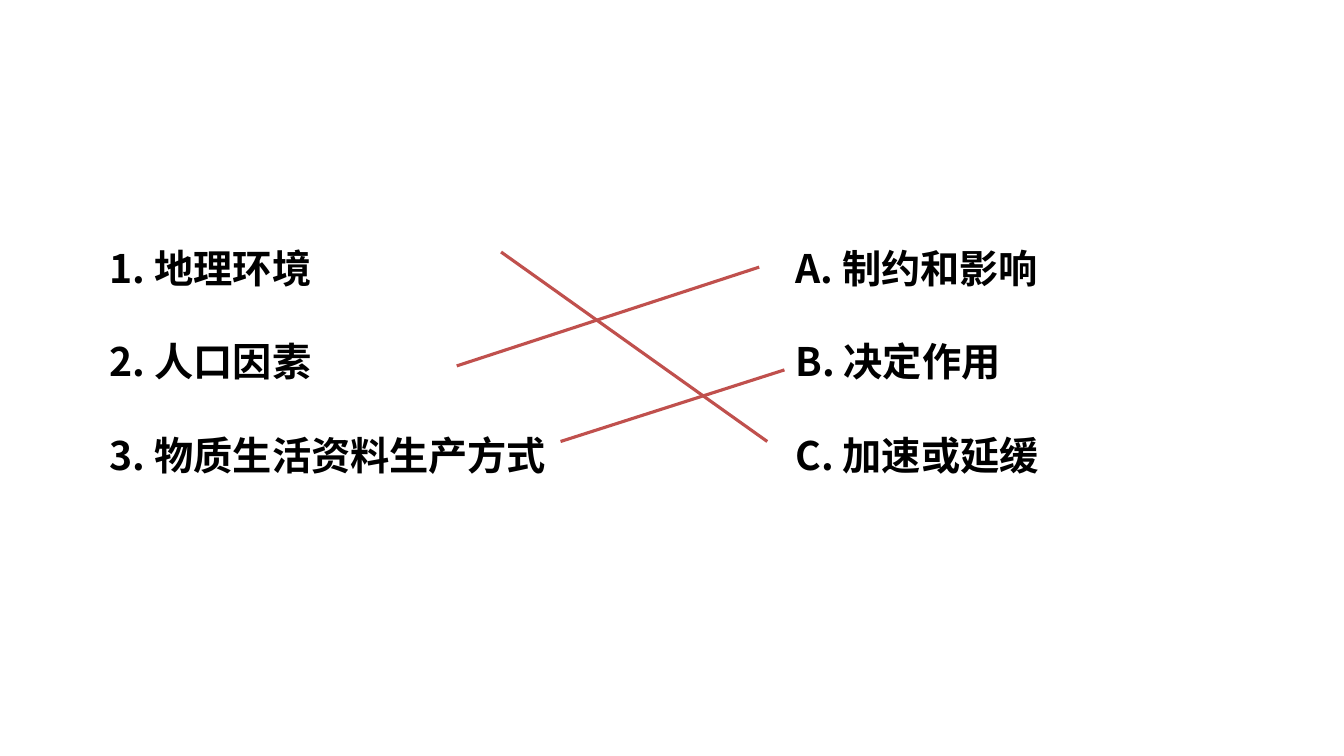
from dataclasses import dataclass

from lxml import etree
from pptx import Presentation
from pptx.dml.color import RGBColor
from pptx.enum.shapes import MSO_CONNECTOR
from pptx.enum.text import MSO_ANCHOR, MSO_AUTO_SIZE
from pptx.oxml.ns import qn
from pptx.util import Inches, Pt

STRAIGHT = MSO_CONNECTOR.STRAIGHT
TOP = MSO_ANCHOR.TOP
GROW = MSO_AUTO_SIZE.SHAPE_TO_FIT_TEXT
BLANK_LAYOUT = 6


@dataclass(frozen=True)
class Theme:
    font: str = "Noto Sans CJK SC"
    text_size: float = 28
    text_color: RGBColor = RGBColor(0x00, 0x00, 0x00)
    line_color: RGBColor = RGBColor(0xC0, 0x50, 0x4D)
    line_width: float = 2.25


THEME = Theme()
ROW_STEP = 0.93
ROW_HEIGHT = 0.47

FACTORS = [("1", "地理环境"), ("2", "人口因素"), ("3", "物质生活资料生产方式")]
EFFECTS = [("A", "制约和影响"), ("B", "决定作用"), ("C", "加速或延缓")]
MATCHES = [
    ((0.45, 0.02), (3.09, 1.90)),
    ((0.01, 1.15), (3.01, 0.17)),
    ((1.04, 1.90), (3.26, 1.19)),
]


def add_run(paragraph, text):
    run = paragraph.add_run()
    run.text = text
    font = run.font
    font.name = THEME.font
    font.size = Pt(THEME.text_size)
    font.bold = True
    font.color.rgb = THEME.text_color
    east_asian = etree.SubElement(run._r.get_or_add_rPr(), qn("a:ea"))
    east_asian.set("typeface", THEME.font)


def add_column(slide, entries, left, top, width):
    for row, (marker, phrase) in enumerate(entries):
        entry = slide.shapes.add_textbox(
            Inches(left), Inches(top + row * ROW_STEP), Inches(width), Inches(ROW_HEIGHT)
        )
        frame = entry.text_frame
        frame.word_wrap = True
        frame.auto_size = GROW
        frame.vertical_anchor = TOP
        frame.margin_left = frame.margin_right = Inches(0.01)
        frame.margin_top = frame.margin_bottom = 0
        paragraph = frame.paragraphs[0]
        add_run(paragraph, f"{marker}. ")
        add_run(paragraph, phrase)


def add_matches(slide, matches, left, top):
    for (start_x, start_y), (end_x, end_y) in matches:
        match_line = slide.shapes.add_connector(
            STRAIGHT,
            Inches(left + start_x),
            Inches(top + start_y),
            Inches(left + end_x),
            Inches(top + end_y),
        )
        match_line.line.color.rgb = THEME.line_color
        match_line.line.width = Pt(THEME.line_width)
        etree.SubElement(match_line._element.spPr, qn("a:effectLst"))


def build_matching_slide(presentation):
    slide = presentation.slides.add_slide(presentation.slide_layouts[BLANK_LAYOUT])
    add_column(slide, FACTORS, left=1.08, top=2.42, width=4.95)
    add_column(slide, EFFECTS, left=7.88, top=2.42, width=3.2)
    add_matches(slide, MATCHES, left=4.52, top=2.48)


def main():
    presentation = Presentation()
    presentation.slide_width = Inches(13.33)
    presentation.slide_height = Inches(7.5)
    build_matching_slide(presentation)
    presentation.save("out.pptx")


if __name__ == "__main__":
    main()
